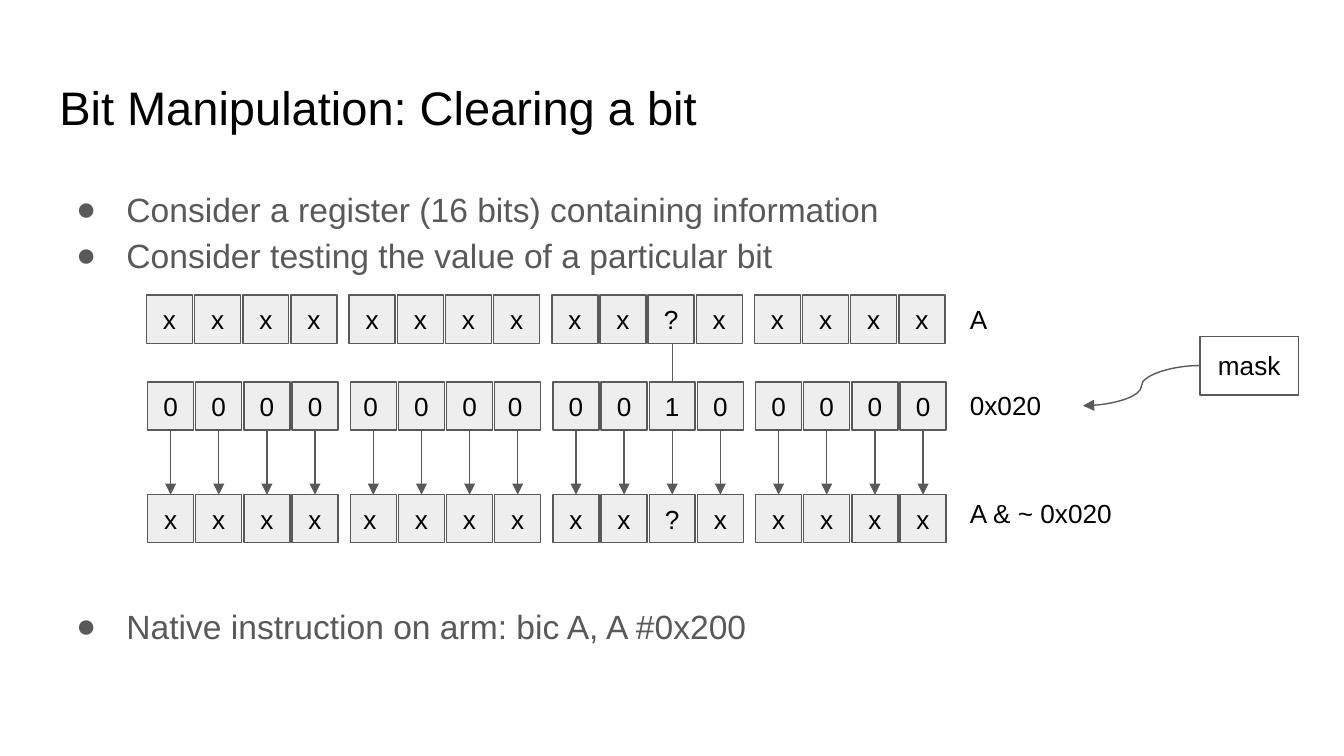
import lxml.etree
import pptx
import pptx.dml.color
import pptx.enum.shapes
import pptx.enum.text
import pptx.oxml.ns
import pptx.util

Cm = pptx.util.Cm
Pt = pptx.util.Pt
ALIGN = pptx.enum.text.PP_ALIGN
ANCHOR = pptx.enum.text.MSO_ANCHOR
LINK = pptx.enum.shapes.MSO_CONNECTOR

HUES = {"ink": "000000", "gray": "595959", "cell": "EEEEEE"}


class Deck:
    font = "Arial"
    inset = Cm(0.25)
    stroke = Pt(0.75)

    def __init__(self, wide, high):
        self.file = pptx.Presentation()
        self.file.slide_width = Cm(wide)
        self.file.slide_height = Cm(high)
        self.slide = self.file.slides.add_slide(self.file.slide_layouts[1])

    def hue(self, name):
        return pptx.dml.color.RGBColor.from_string(HUES[name])

    def assign(self, thing, values):
        for name, value in values.items():
            setattr(thing, name, value)

    def node(self, owner, tag, **values):
        return lxml.etree.SubElement(owner, pptx.oxml.ns.qn(tag), values)

    def place(self, shape, box):
        names = ("left", "top", "width", "height")
        self.assign(shape, dict(zip(names, map(Cm, box))))

    def wording(self, shape, lines, size, hue="ink", align=ALIGN.LEFT,
                anchor=ANCHOR.TOP):
        frame = shape.text_frame
        self.assign(frame, {
            "text": "\n".join(lines),
            "word_wrap": True,
            "auto_size": pptx.enum.text.MSO_AUTO_SIZE.NONE,
            "vertical_anchor": anchor,
            "margin_left": self.inset, "margin_right": self.inset,
            "margin_top": self.inset, "margin_bottom": self.inset,
        })
        for para in frame.paragraphs:
            para.alignment = align
            font = para.runs[0].font
            self.assign(font, {"name": self.font, "size": Pt(size)})
            font.color.rgb = self.hue(hue)
        return frame.paragraphs

    def title(self, text, box):
        shape = self.slide.shapes.title
        self.place(shape, box)
        self.wording(shape, [text], 25.2)

    def bullets(self, lines, box, gaps):
        shape = self.slide.placeholders[1]
        self.place(shape, box)
        for para, gap in zip(self.wording(shape, lines, 18, "gray"), gaps):
            self.assign(para, {"line_spacing": 1.15, "space_before": Pt(gap),
                               "space_after": Pt(0)})
            props = para._p.get_or_add_pPr()
            props.set("marL", str(Cm(1.27)))
            props.set("indent", str(Cm(-0.95)))
            tint = self.node(props, "a:buClr")
            self.node(tint, "a:srgbClr", val=HUES["gray"])
            self.node(props, "a:buFont", typeface=self.font)
            self.node(props, "a:buChar", char="●")

    def label(self, text, box):
        shape = self.slide.shapes.add_textbox(*map(Cm, box))
        self.wording(shape, [text], 14)

    def rect(self, text, box, fill=None, home=None, align=ALIGN.CENTER,
             anchor=ANCHOR.MIDDLE):
        shapes = (home or self.slide).shapes
        shape = shapes.add_shape(
            pptx.enum.shapes.MSO_SHAPE.RECTANGLE, *map(Cm, box))
        shape.shadow.inherit = False
        if fill:
            shape.fill.solid()
            shape.fill.fore_color.rgb = self.hue(fill)
        else:
            shape.fill.background()
        shape.line.color.rgb = self.hue("gray")
        shape.line.width = self.stroke
        self.wording(shape, [text], 14, align=align, anchor=anchor)

    def arrow(self, start, end, kind=LINK.STRAIGHT):
        link = self.slide.shapes.add_connector(kind, *map(Cm, start + end))
        link.line.color.rgb = self.hue("gray")
        link.line.width = self.stroke
        props = link._element.spPr
        self.node(props.get_or_add_ln(), "a:tailEnd", type="triangle")
        self.node(props, "a:effectLst")

    def bits(self, text, left, top, flush=()):
        for part in range(4):
            group = self.slide.shapes.add_group_shape()
            for index in range(part * 4, part * 4 + 4):
                align = ALIGN.LEFT if index in flush else ALIGN.CENTER
                box = (bit_left(left, index), top, WIDE, HIGH)
                self.rect(text[index], box, "cell", group, align)


WIDE, HIGH = 0.87, 0.91
LEFT = 2.79
TOP, MASK, BASE = 5.58, 7.22, 9.35


def bit_left(left, index):
    return left + index // 4 * 3.83 + index % 4 * 0.91


def main():
    deck = Deck(25.4, 14.29)
    deck.title("Bit Manipulation: Clearing a bit", (0.87, 1.24, 23.67, 1.59))
    deck.bullets(["Consider a register (16 bits) containing information",
                  "Consider testing the value of a particular bit",
                  "Native instruction on arm: bic A, A #0x200"],
                 (0.87, 3.2, 23.67, 9.5), (0, 0, 174))

    value = "x" * 10 + "?" + "x" * 5
    deck.bits(value, LEFT - 0.02, TOP)
    deck.bits(value, LEFT, BASE, (4,))
    for index in range(16):
        mid = bit_left(LEFT, index) + WIDE / 2
        start = TOP if value[index] == "?" else MASK
        deck.arrow((mid, start + HIGH), (mid, BASE))
    deck.bits("0" * 10 + "1" + "0" * 5, LEFT, MASK, (4, 7))

    for text, top, wide in (("A", 5.48, 0.95), ("0x020", 7.12, 2.39),
                            ("A & ~ 0x020", 9.15, 3.6)):
        deck.label(text, (18.08, top, wide, 1.11))
    deck.rect("mask", (22.68, 6.36, 1.86, 1.11), anchor=ANCHOR.TOP)
    deck.arrow((22.68, 6.91), (20.47, 7.67), LINK.CURVE)
    deck.file.save("out.pptx")


if __name__ == "__main__":
    main()
